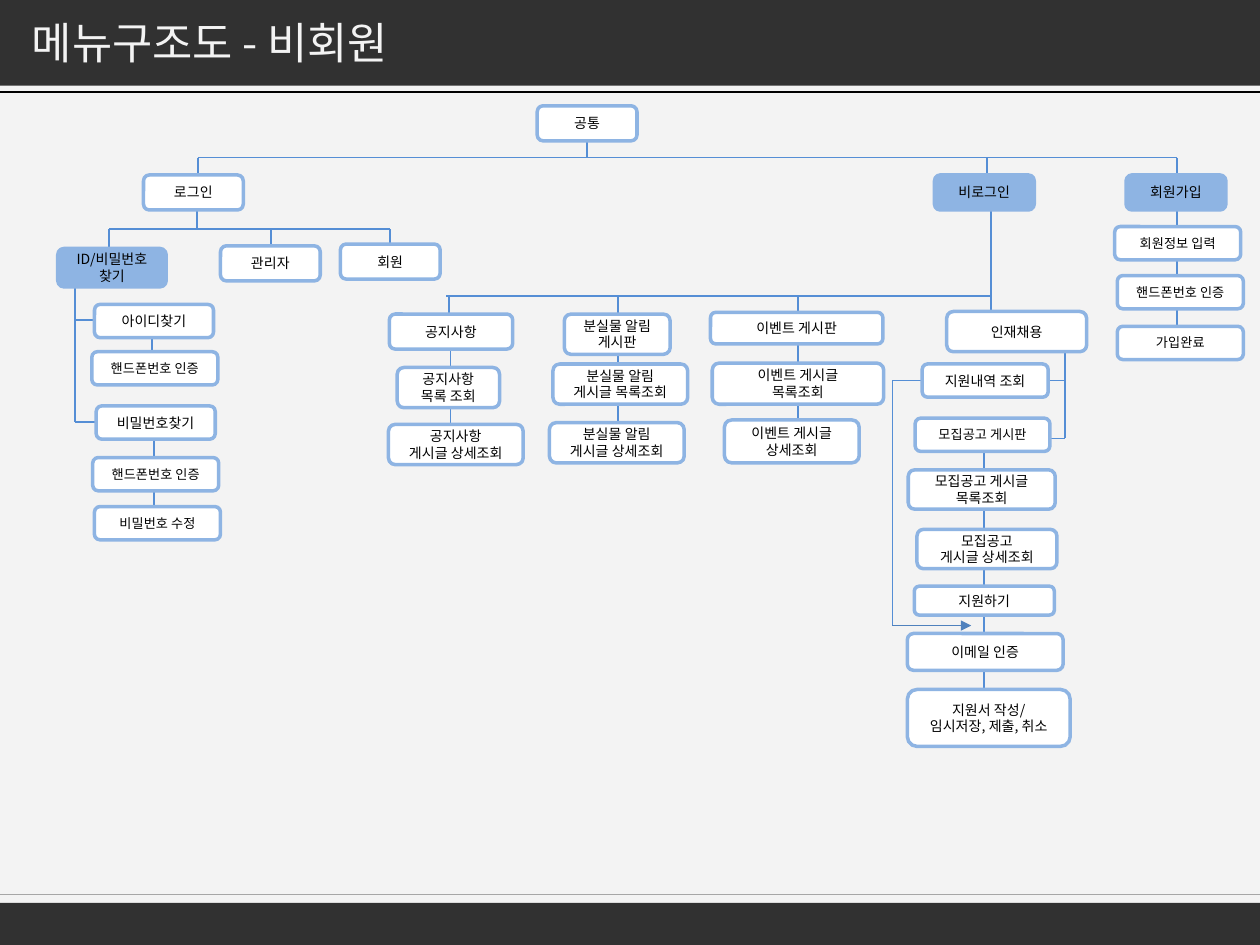
from lxml import etree
from pptx import Presentation
from pptx.dml.color import RGBColor
from pptx.enum.shapes import MSO_CONNECTOR, MSO_SHAPE
from pptx.enum.text import MSO_ANCHOR, MSO_AUTO_SIZE, PP_ALIGN
from pptx.oxml.ns import qn
from pptx.util import Pt

STRAIGHT = MSO_CONNECTOR.STRAIGHT
RECTANGLE, ROUNDED = MSO_SHAPE.RECTANGLE, MSO_SHAPE.ROUNDED_RECTANGLE
MIDDLE, TOP = MSO_ANCHOR.MIDDLE, MSO_ANCHOR.TOP
CENTER, LEFT = PP_ALIGN.CENTER, PP_ALIGN.LEFT
FIXED_SIZE = MSO_AUTO_SIZE.NONE
FONT = "Noto Sans CJK KR"
LINE_RATIO = 1.18
COLORS = {"paper": "F3F3F3", "bar": "313131", "black": "000000", "grey": "A6A6A6",
          "white": "FFFFFF", "accent": "8EB4E3", "link": "558ED5", "arrow": "4F81BD"}


def color(name):
    """Return the named colour."""
    return RGBColor.from_string(COLORS[name])


def write(shape, text, size, ink, align, anchor):
    """Fill a shape with one paragraph for each line of text."""
    frame = shape.text_frame
    frame.word_wrap = True
    frame.auto_size = FIXED_SIZE
    frame.vertical_anchor = anchor
    for index, line in enumerate(text.split("\n")):
        para = frame.add_paragraph() if index else frame.paragraphs[0]
        para.alignment = align
        para.line_spacing = Pt(round(size * LINE_RATIO, 1))
        span = para.add_run()
        span.text = line
        span.font.name = FONT
        span.font.size = Pt(size)
        span.font.color.rgb = color(ink)
    for latin in shape.element.iter(qn("a:latin")):
        latin.addnext(etree.Element(qn("a:ea"), typeface=FONT))


def connect(page, start, end, ink="link", weight=1, arrow=False):
    """Draw a straight line between two points, with an optional arrowhead."""
    link = page.shapes.add_connector(STRAIGHT, *map(Pt, start + end))
    link.line.color.rgb = color(ink)
    link.line.width = Pt(weight)
    properties = link.element.spPr
    if arrow:
        etree.SubElement(properties.find(qn("a:ln")), qn("a:tailEnd"), type="triangle")
    etree.SubElement(properties, qn("a:effectLst"))


def add_bar(page, top, height):
    """Add a dark band across the page."""
    bar = page.shapes.add_shape(RECTANGLE, 0, Pt(top), Pt(720), Pt(height))
    bar.shadow.inherit = False
    bar.fill.solid()
    bar.fill.fore_color.rgb = color("bar")
    bar.line.fill.background()


def add_node(page, text, left, top, width=57, height=20, size=8, fill="white"):
    """Add one rounded menu box."""
    node = page.shapes.add_shape(ROUNDED, Pt(left), Pt(top), Pt(width), Pt(height))
    node.shadow.inherit = False
    node.fill.solid()
    node.fill.fore_color.rgb = color(fill)
    node.line.color.rgb = color("accent")
    node.line.width = Pt(2)
    write(node, text, size, "black", CENTER, MIDDLE)


def add_chain(page, left, top, axis, nodes):
    """Stack menu boxes and link each one to the next along a vertical axis."""
    for upper, lower in zip(nodes, nodes[1:]):
        connect(page, (left + axis, top + upper[2] + upper[4]), (left + axis, top + lower[2]))
    for text, x, y, *format_values in nodes:
        add_node(page, text, left + x, top + y, *format_values)


def add_tree_bar(page, left, top, width, drops, depth):
    """Draw a horizontal rail with short drops to the boxes below it."""
    connect(page, (left, top), (left + width, top))
    for drop in drops:
        connect(page, (left + drop, top), (left + drop, top + depth))


def add_frame(page, text):
    """Place the bands, the rules and the title."""
    add_bar(page, 0, 49)
    add_bar(page, 516, 24)
    connect(page, (0, 52.5), (720, 52.5), "black", 0.75)
    connect(page, (0, 511), (720, 511), "grey", 0.75)
    title = page.shapes.title
    title.left, title.top, title.width, title.height = map(Pt, (11, 6, 564, 37.5))
    write(title, text, 25, "paper", LEFT, TOP)
    title.element.getparent().append(title.element)


def add_root(page, left, top):
    """Place the common root and its rail."""
    connect(page, (left + 222.5, top + 20), (left + 222.5, top + 29.5))
    add_tree_bar(page, left, top + 29.5, 559.5, (0, 451, 559.5), 10)
    add_node(page, "공통", left + 194, top)


def add_login(page, left, top):
    """Place the login branch with the account recovery steps."""
    connect(page, (left + 79.5, top + 20), (left + 79.5, top + 31))
    add_tree_bar(page, left + 29.5, top + 31, 160.5, (0, 92.5, 160.5), 10)
    add_node(page, "로그인", left + 49, top)
    add_node(page, "관리자", left + 93, top + 40.5)
    add_node(page, "회원", left + 161.5, top + 39.5)
    connect(page, (left + 10, top + 64), (left + 10, top + 141))
    for y in (83, 141):
        connect(page, (left + 10, top + y), (left + 21.5, top + y))
    add_node(page, "ID/비밀번호 찾기", left, top + 42, 62, 22, fill="accent")
    add_chain(page, left, top, 54, [
        ("아이디찾기", 21, 74, 68, 19),
        ("핸드폰번호 인증", 19.5, 101, 72, 19, 7.5)])
    add_chain(page, left, top, 55, [
        ("비밀번호찾기", 22, 132, 68, 19),
        ("핸드폰번호 인증", 20, 161.5, 72, 19, 7.5),
        ("비밀번호 수정", 21, 189.5, 72, 19, 7.5)])


def add_signup(page, left, top):
    """Place the sign-up steps."""
    add_chain(page, left, top, 35.5, [
        ("회원가입", 6.5, 0, 57, 20, 8, "accent"),
        ("회원정보 입력", 0, 29.5, 72, 19, 7.5),
        ("핸드폰번호 인증", 1.5, 57.5, 72, 19, 7.5),
        ("가입완료", 1.5, 86.5, 72, 19, 7.5)])


def add_boards(page, left, top):
    """Place the three public boards under their rail."""
    add_tree_bar(page, left + 33, top, 311, (1.5, 98, 201), 10)
    add_chain(page, left, top, 35.5, [
        ("공지사항", 0.5, 10.5, 70.5, 20),
        ("공지사항 목록 조회", 5, 41, 58.5, 23),
        ("공지사항\n게시글 상세조회", 0, 73.5, 77, 23)])
    add_chain(page, left, top, 131, [
        ("분실물 알림\n게시판", 100.5, 10.5, 60.5, 23),
        ("분실물 알림\n게시글 목록조회", 94, 39, 77, 23),
        ("분실물 알림\n게시글 상세조회", 92, 72.5, 77, 23)])
    add_chain(page, left, top, 234, [
        ("이벤트 게시판", 184, 9.5, 98.5, 18),
        ("이벤트 게시글\n목록조회", 185, 38.5, 98, 23.5),
        ("이벤트 게시글\n상세조회", 192, 71, 77, 24.5)])


def add_recruiting(page, left, top):
    """Place the guest entry and the recruiting steps with their side paths."""
    connect(page, (left + 56.5, top + 20), (left + 56.5, top + 78))
    connect(page, (left + 98.5, top + 101), (left + 98.5, top + 150.5))
    for y in (117.5, 150.5):
        connect(page, (left + 98.5, top + y), (left + 89.5, top + y))
    connect(page, (left + 17.5, top + 117.5), (left, top + 117.5))
    connect(page, (left, top + 117.5), (left, top + 257.5))
    connect(page, (left, top + 257.5), (left + 45, top + 257.5), "arrow", 0.75, True)
    add_node(page, "비로그인", left + 24, top, fill="accent")
    add_node(page, "인재채용", left + 31, top + 78, 80, 23)
    add_node(page, "지원내역 조회", left + 17, top + 108, 72, 19)
    add_chain(page, left, top, 52.5, [
        ("모집공고 게시판", 13, 139, 77, 19, 7.5),
        ("모집공고 게시글\n목록조회", 9, 168.5, 84, 22.5),
        ("모집공고\n게시글 상세조회", 14, 202.5, 80, 22.5),
        ("지원하기", 12.5, 235, 80, 16.5),
        ("이메일 인증", 8.5, 262, 89, 21),
        ("지원서 작성/\n임시저장, 제출, 취소", 8.5, 294, 93, 32.5)])


def main():
    """Build and save the menu structure deck."""
    deck = Presentation()
    deck.slide_width, deck.slide_height = Pt(720), Pt(540)
    page = deck.slides.add_slide(deck.slide_layouts[5])
    page.background.fill.solid()
    page.background.fill.fore_color.rgb = color("paper")
    add_frame(page, "메뉴구조도 - 비회원")
    add_root(page, 113, 60.5)
    add_login(page, 33, 100)
    add_signup(page, 637, 100)
    add_boards(page, 222, 169)
    add_recruiting(page, 510, 100)
    deck.save("out.pptx")


if __name__ == "__main__":
    main()
